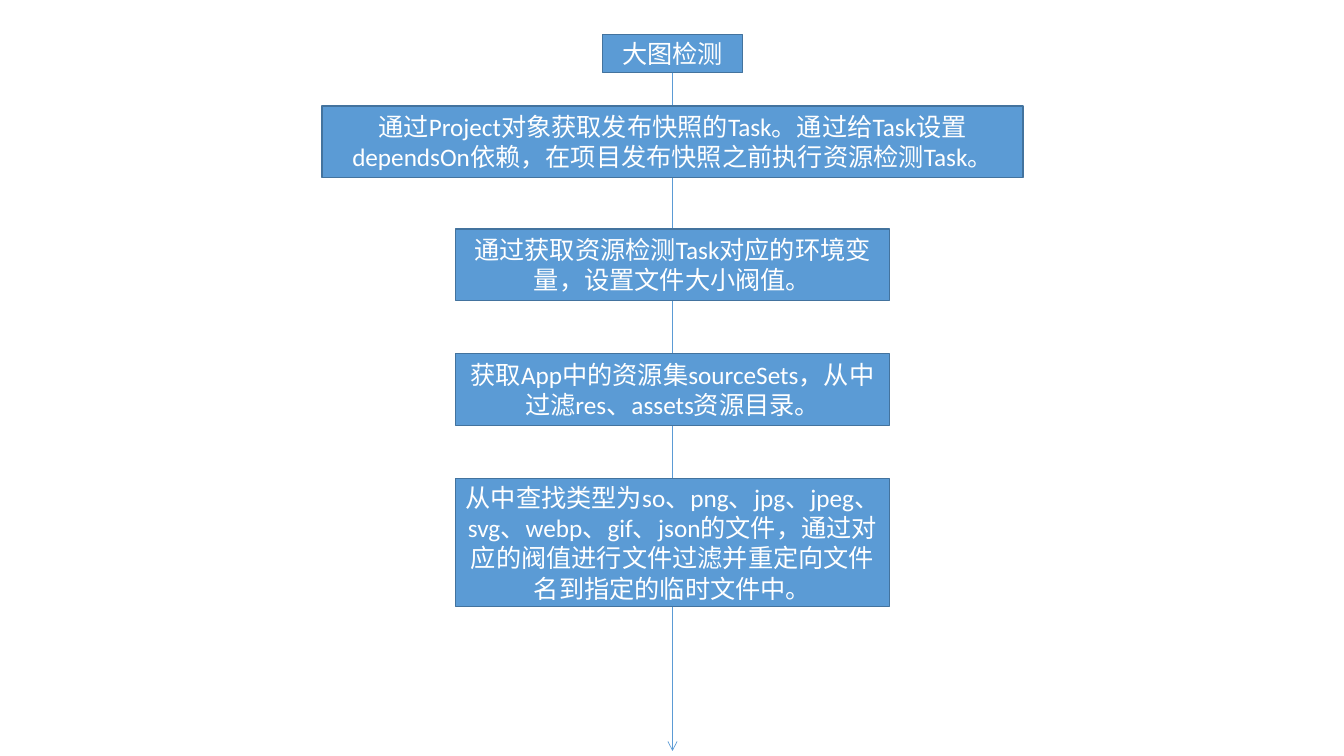
from pptx import Presentation
from pptx.dml.color import RGBColor
from pptx.enum.shapes import MSO_CONNECTOR, MSO_SHAPE
from pptx.enum.text import MSO_ANCHOR, MSO_AUTO_SIZE, PP_ALIGN
from pptx.oxml.ns import qn
from pptx.util import Inches, Pt
from lxml.etree import SubElement

BLUE = RGBColor(0x5B, 0x9B, 0xD5)
DARK_BLUE = RGBColor(0x43, 0x73, 0x9E)
WHITE = RGBColor(0xFF, 0xFF, 0xFF)

CENTER = 6.67
STEP_WIDTH = 4.3

# Steps of the flow: top, width, height, text
STEPS = [
    (1.05, 6.95, 0.71, "通过Project对象获取发布快照的Task。通过给Task设置dependsOn依赖，"
                       "在项目发布快照之前执行资源检测Task。"),
    (2.27, STEP_WIDTH, 0.71, "通过获取资源检测Task对应的环境变量，设置文件大小阀值。"),
    (3.51, STEP_WIDTH, 0.71, "获取App中的资源集sourceSets，从中过滤res、assets资源目录。"),
    (4.75, STEP_WIDTH, 1.27, "从中查找类型为so、png、jpg、jpeg、svg、webp、gif、json的文件，"
                             "通过对应的阀值进行文件过滤并重定向文件名到指定的临时文件中。"),
]


def write_text(shape, text, size=18, font="Calibri", color=WHITE, align=PP_ALIGN.CENTER):
    frame = shape.text_frame
    frame.word_wrap = True
    frame.auto_size = MSO_AUTO_SIZE.NONE
    frame.vertical_anchor = MSO_ANCHOR.MIDDLE
    paragraph = frame.paragraphs[0]
    paragraph.alignment = align
    run = paragraph.add_run()
    run.text = text
    run.font.size = Pt(size)
    run.font.name = font
    run.font.color.rgb = color


class Flowchart:
    """Holds the box and line style and the current slide."""

    def __init__(self, slide, fill=BLUE, outline=DARK_BLUE):
        self.slide = slide
        self.fill = fill
        self.outline = outline

    def format_box(self, shape, text):
        shape.fill.solid()
        shape.fill.fore_color.rgb = self.fill
        shape.line.color.rgb = self.outline
        shape.line.width = Pt(1)
        write_text(shape, text)

    def title(self, top, width, height, text):
        shape = self.slide.shapes.title
        shape.left, shape.top = Inches(CENTER - width / 2), Inches(top)
        shape.width, shape.height = Inches(width), Inches(height)
        self.format_box(shape, text)

    def step(self, top, width, height, text):
        shape = self.slide.shapes.add_shape(
            MSO_SHAPE.RECTANGLE, Inches(CENTER - width / 2), Inches(top),
            Inches(width), Inches(height))
        shape.shadow.inherit = False
        self.format_box(shape, text)

    def arrow(self, top, bottom):
        connector = self.slide.shapes.add_connector(
            MSO_CONNECTOR.STRAIGHT, Inches(CENTER), Inches(top),
            Inches(CENTER), Inches(bottom))
        connector.line.color.rgb = self.fill
        connector.line.width = Pt(0.5)
        SubElement(connector.line._get_or_add_ln(), qn("a:tailEnd"), type="arrow")
        SubElement(connector._element.spPr, qn("a:effectLst"))


presentation = Presentation()
presentation.slide_width = Inches(13.33)
presentation.slide_height = Inches(7.5)
title_only = presentation.slide_layouts[5]
flowchart = Flowchart(presentation.slides.add_slide(title_only))

# Title box and the arrow that runs behind the steps
flowchart.title(0.34, 1.39, 0.38, "大图检测")
flowchart.arrow(0.72, 7.45)

# Steps
for step in STEPS:
    flowchart.step(*step)

presentation.save("out.pptx")
